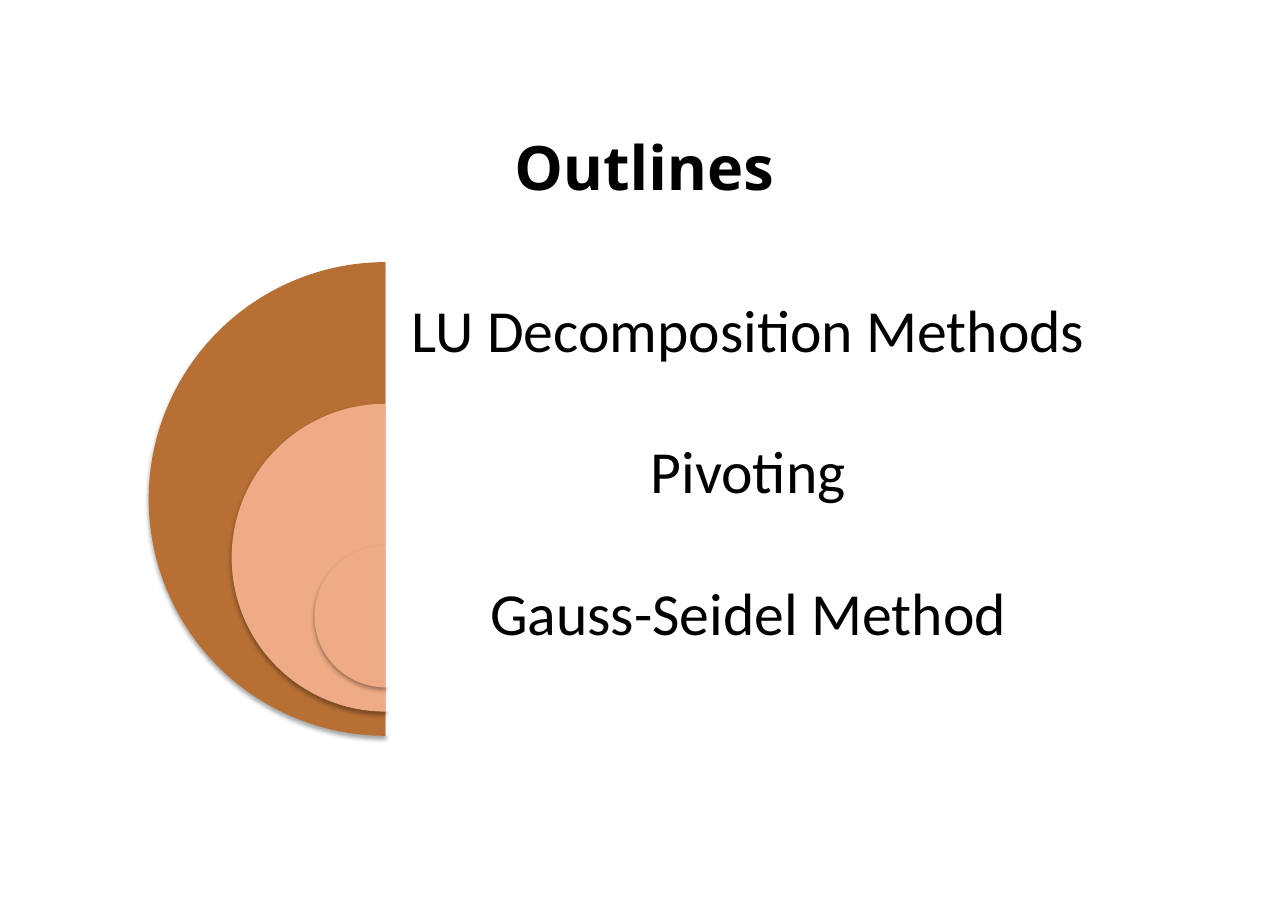
from dataclasses import dataclass

from lxml.etree import SubElement
from pptx import Presentation
from pptx.dml.color import RGBColor
from pptx.enum.shapes import MSO_SHAPE
from pptx.enum.text import MSO_ANCHOR, MSO_AUTO_SIZE, PP_ALIGN
from pptx.oxml.ns import qn
from pptx.util import Inches, Pt


@dataclass(frozen=True)
class Theme:
    ink: str = "000000"
    paper: str = "FFFFFF"
    brown: str = "B76F34"
    peach: str = "EFAB85"
    head_font: str = "Open Sans"
    body_font: str = "Calibri"
    head_size: int = 40
    body_size: int = 39


THEME = Theme()
TOPICS = [
    ("LU Decomposition Methods", THEME.brown),
    ("Pivoting", THEME.peach),
    ("Gauss-Seidel Method", THEME.peach),
]

# Stacked half discs share one vertical axis
AXIS, TOP, WIDTH = 3.5, 2.38, 6.58
SIZE, SHRINK, BAND = 4.3, 1.505, 1.285


def place(shape, left, top, width, height):
    shape.left, shape.top = Inches(left), Inches(top)
    shape.width, shape.height = Inches(width), Inches(height)


def write(shape, text, font, size, pad_x, pad_y, bold=False):
    frame = shape.text_frame
    frame.text = text
    frame.word_wrap = True
    frame.auto_size = MSO_AUTO_SIZE.NONE
    frame.vertical_anchor = MSO_ANCHOR.MIDDLE
    frame.margin_left = frame.margin_right = Inches(pad_x)
    frame.margin_top = frame.margin_bottom = Inches(pad_y)
    line = frame.paragraphs[0]
    line.alignment = PP_ALIGN.CENTER
    run = line.runs[0]
    run.font.name, run.font.size, run.font.bold = font, Pt(size), bold
    run.font.color.rgb = RGBColor.from_string(THEME.ink)
    return line


def add_form(group, kind, color, left, top, width, height):
    shape = group.shapes.add_shape(
        kind, Inches(left), Inches(top), Inches(width), Inches(height))
    shape.fill.solid()
    shape.fill.fore_color.rgb = RGBColor.from_string(color)
    shape.line.fill.background()
    shape.shadow.inherit = False
    return shape


def add_half(group, color, top, size):
    half = add_form(group, MSO_SHAPE.PIE, color, AXIS - size / 2, top, size, size)
    half.adjustments[0], half.adjustments[1] = 54, 162
    # Soft shadow straight below
    effects = half._element.spPr.find(qn("a:effectLst"))
    shadow = SubElement(effects, qn("a:outerShdw"), blurRad=str(Pt(3.1)),
                        dist=str(Pt(1.8)), dir="5400000", rotWithShape="0")
    tint = SubElement(shadow, qn("a:srgbClr"), val=THEME.ink)
    SubElement(tint, qn("a:alpha"), val="35000")


def add_panel(group, top, height):
    panel = add_form(group, MSO_SHAPE.RECTANGLE, THEME.paper, AXIS, top, WIDTH, height)
    tint = panel._element.spPr.find(qn("a:solidFill"))[0]
    SubElement(tint, qn("a:alpha"), val="90000")


def add_label(group, text, top):
    label = group.shapes.add_textbox(
        Inches(AXIS), Inches(top), Inches(WIDTH), Inches(BAND))
    line = write(label, text, THEME.body_font, THEME.body_size, 0.16, 0.16)
    line.line_spacing = 0.9


def add_title(slide, text):
    title = slide.shapes.title
    place(title, 1.42, 0.82, 8.85, 1.38)
    write(title, text, THEME.head_font, THEME.head_size, 0.11, 0.06, bold=True)


def main():
    deck = Presentation()
    deck.slide_width, deck.slide_height = Inches(11.69), Inches(8.27)
    slide = deck.slides.add_slide(deck.slide_layouts[5])
    slide.background.fill.solid()
    slide.background.fill.fore_color.rgb = RGBColor.from_string(THEME.paper)

    add_title(slide, "Outlines")

    # Topic diagram, from the outer disc inwards
    group = slide.shapes.add_group_shape()
    for step, (text, color) in enumerate(TOPICS):
        top, size = TOP + step * BAND, SIZE - step * SHRINK
        add_half(group, color, top, size)
        add_panel(group, top, size)
        add_label(group, text, top)

    deck.save("out.pptx")


if __name__ == "__main__":
    main()
